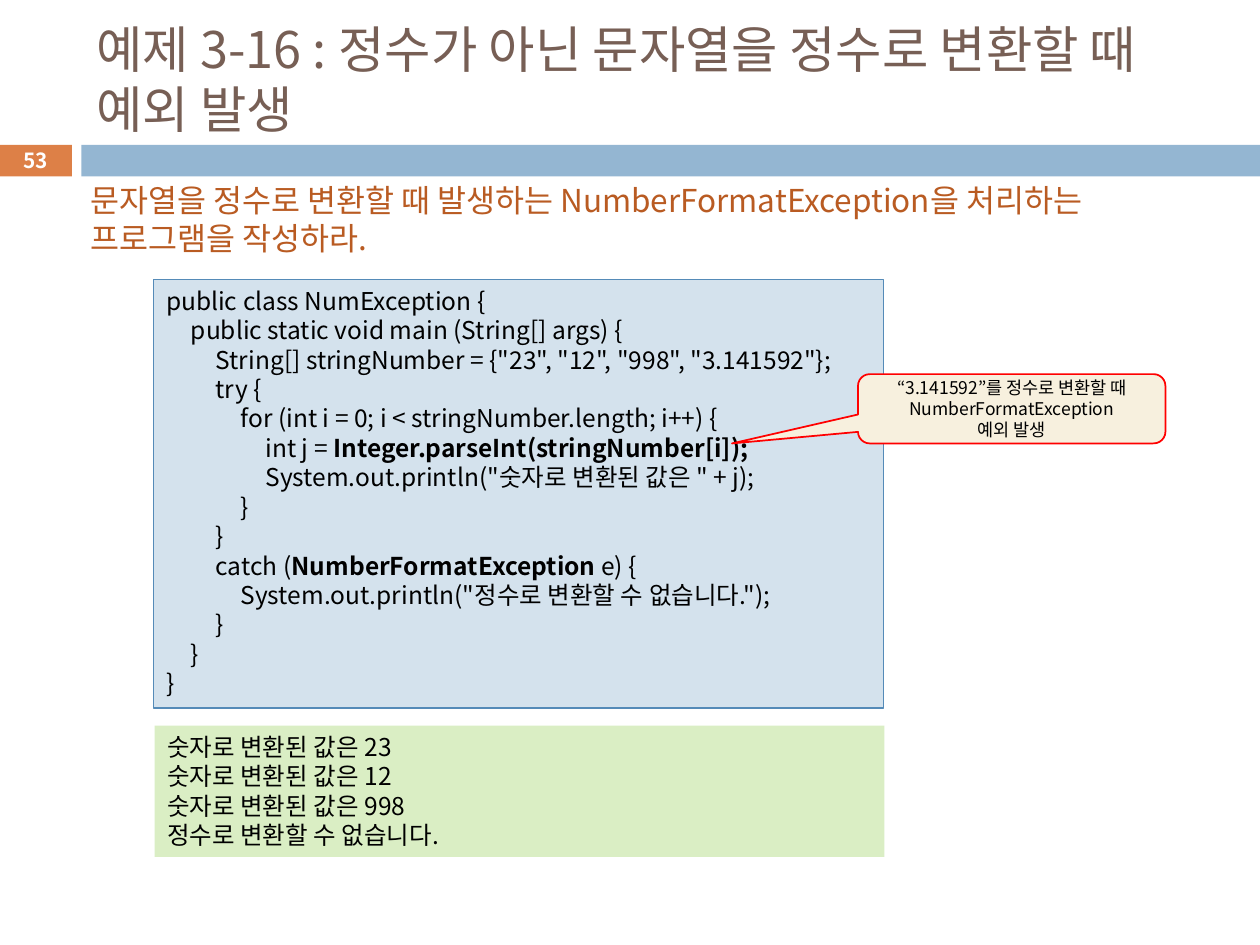
from pptx import Presentation
from pptx.util import Pt
from pptx.dml.color import RGBColor as Rgb
from pptx.enum.shapes import MSO_SHAPE as Kind
from pptx.enum.text import MSO_ANCHOR as Anchor, PP_ALIGN as Align
from pptx.oxml.ns import qn
from lxml.etree import SubElement as Sub

FACE = "Noto Sans CJK KR"
STEP = 14.2

CODE = """public class NumException {
\tpublic static void main (String[] args) {
\t\tString[] stringNumber = {"23", "12", "998", "3.141592"};
\t\ttry {
\t\t\tfor (int i = 0; i < stringNumber.length; i++) {
\t\t\t\tint j = *Integer.parseInt(stringNumber[i]);*
\t\t\t\tSystem.out.println("숫자로 변환된 값은 " + j);
\t\t\t}
\t\t}
\t\tcatch (*NumberFormatException* e) {
\t\t\tSystem.out.println("정수로 변환할 수 없습니다.");
\t\t}
\t}
}"""
RESULT = """숫자로 변환된 값은 23
숫자로 변환된 값은 12
숫자로 변환된 값은 998
정수로 변환할 수 없습니다."""


def color(hue):
    return Rgb.from_string(hue)


def apply(item, form):
    for name, value in form.items():
        setattr(item, name, value)


def panel(slide, box, fill, line=None, width=1, kind=Kind.RECTANGLE):
    shape = slide.shapes.add_shape(kind, *map(Pt, box))
    shape.shadow.inherit = False
    shape.fill.solid()
    shape.fill.fore_color.rgb = color(fill)
    if line:
        shape.line.color.rgb = color(line)
        shape.line.width = Pt(width)
    else:
        shape.line.fill.background()
    return shape


def label(slide, box):
    return slide.shapes.add_textbox(*map(Pt, box))


def add_tabs(para, count):
    stops = Sub(para._p.get_or_add_pPr(), qn("a:tabLst"))
    for n in range(1, count + 1):
        Sub(stops, qn("a:tab"), pos=str(Pt(n * STEP)), algn="l")


def write(shape, text, size, hue="000000", bold=False,
          align=Align.LEFT, anchor=Anchor.TOP, tabs=0):
    frame = shape.text_frame
    apply(frame, {"word_wrap": True, "vertical_anchor": anchor})
    for row, line in enumerate(text.split("\n")):
        para = frame.add_paragraph() if row else frame.paragraphs[0]
        if tabs:
            add_tabs(para, tabs)
        apply(para, {"alignment": align, "line_spacing": Pt(round(size * 1.2, 1))})
        for spot, part in enumerate(line.split("*")):
            if not part:
                continue
            run = para.add_run()
            run.text = part
            apply(run.font, {"name": FACE, "size": Pt(size),
                             "bold": bold or spot % 2 == 1})
            run.font.color.rgb = color(hue)
            Sub(run._r.get_or_add_rPr(), qn("a:ea"), typeface=FACE)


def header(slide, box):
    left, top, width, height = box
    bar = top + 64.8
    panel(slide, (left, bar, 41.6, 18), "DD8047")
    panel(slide, (left + 47, bar, width - 47, 18), "94B6D2")
    title = label(slide, (left + 48.5, top, 642, 53.3))
    write(title, "예제 3-16 : 정수가 아닌 문자열을 정수로 변환할 때 예외 발생",
          28.8, "775F55", anchor=Anchor.MIDDLE)
    number = label(slide, (left, bar - 1, 41.6, 19.4))
    write(number, "53", 11.9, "FFFFFF", True, Align.CENTER, Anchor.MIDDLE)


def task(slide, box):
    write(label(slide, box),
          "문자열을 정수로 변환할 때 발생하는 NumberFormatException을 "
          "처리하는 프로그램을 작성하라.", 18, "B95B22")


def listing(slide, box):
    write(panel(slide, box, "D4E2ED", "558BB8", 0.75), CODE, 14, tabs=4)


def output(slide, box):
    write(panel(slide, box, "DAEEC4"), RESULT, 14)


def callout(slide, box):
    shape = panel(slide, box, "F7F0DE", "FF0000",
                  kind=Kind.ROUNDED_RECTANGULAR_CALLOUT)
    for n, value in enumerate((-0.91, 0.5, 0.17)):
        shape.adjustments[n] = value
    write(shape, "“3.141592”를 정수로 변환할 때 NumberFormatException\n예외 발생",
          10, align=Align.CENTER, anchor=Anchor.MIDDLE)


def main():
    deck = Presentation()
    apply(deck, {"slide_width": Pt(720), "slide_height": Pt(540)})
    slide = deck.slides.add_slide(deck.slide_layouts[6])
    header(slide, (-0.5, 18, 720.5, 83))
    listing(slide, (87.8, 159.8, 417, 244.8))
    task(slide, (44.6, 100, 655, 51))
    output(slide, (88.4, 414.7, 417, 75))
    callout(slide, (490.3, 213.8, 175.7, 39.6))
    deck.save("out.pptx")


if __name__ == "__main__":
    main()
